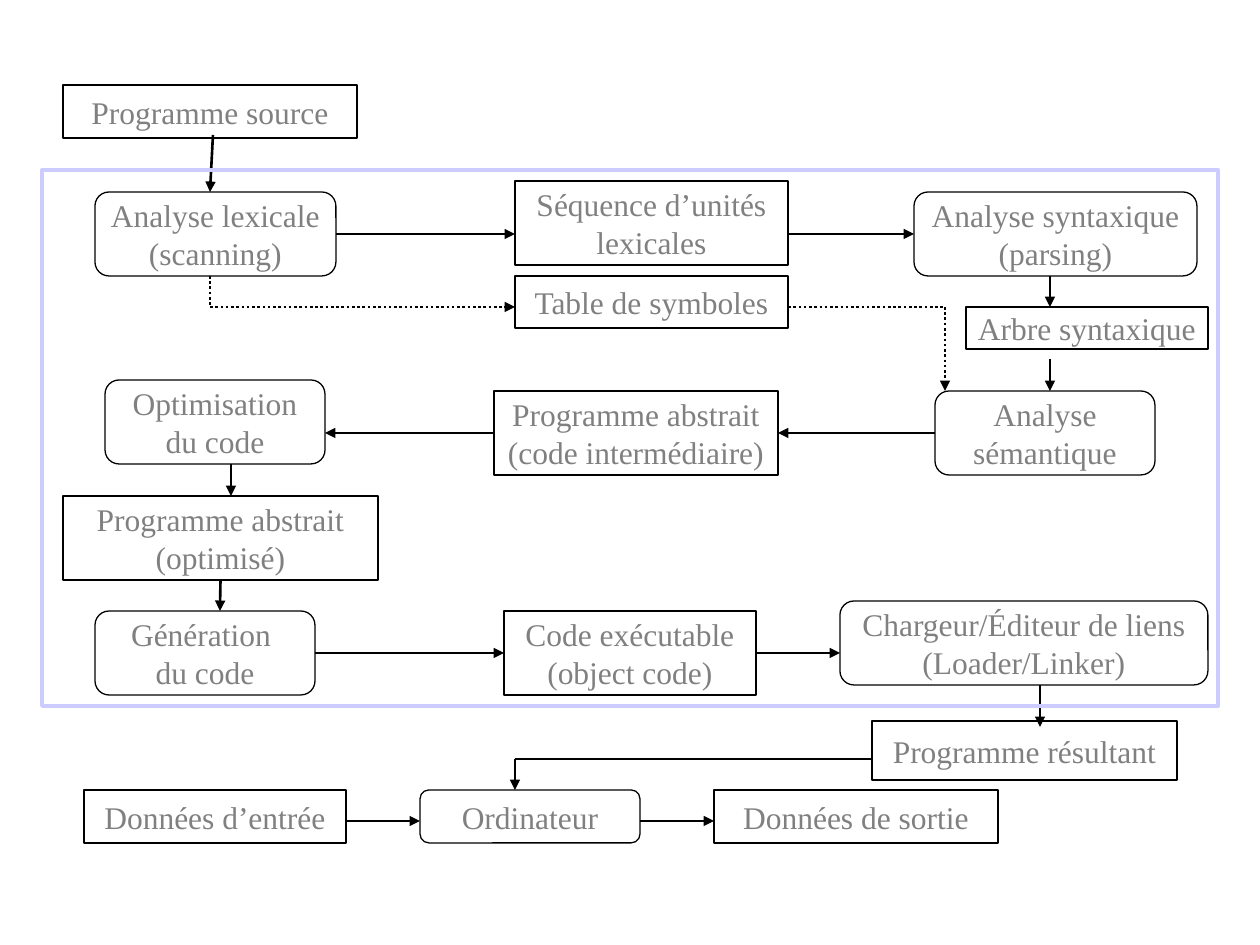
from lxml import etree
from pptx import Presentation
from pptx import util as u
from pptx.dml.color import RGBColor
from pptx.enum import dml, shapes, text
from pptx.oxml.ns import qn

PX_PER_INCH = 126
COLORS = {"ink": "000000", "label": "808080", "frame": "CCCCFF"}
FONT = "Times New Roman"
TOP, LEFT, BOTTOM, RIGHT = range(4)

DATA = {
    "source": ("Programme source", 63, 85, 294, 53),
    "tokens": ("Séquence d’unités\nlexicales", 515, 181, 273, 84),
    "symbols": ("Table de symboles", 515, 276, 273, 52),
    "tree": ("Arbre syntaxique", 966, 307, 242, 42),
    "abstract": ("Programme abstrait\v(code intermédiaire)", 494, 391, 284, 84),
    "optimised": ("Programme abstrait\v(optimisé)", 63, 496, 315, 84),
    "executable": ("Code exécutable\v(object code)", 504, 611, 252, 84),
    "result": ("Programme résultant", 872, 721, 305, 59),
    "input": ("Données d’entrée", 84, 790, 262, 53),
    "output": ("Données de sortie", 714, 790, 284, 53),
}
STEPS = {
    "scanning": ("Analyse lexicale\n(scanning)", 95, 192, 241, 84),
    "parsing": ("Analyse syntaxique\v(parsing)", 914, 192, 283, 84),
    "semantics": ("Analyse\nsémantique", 935, 391, 220, 84),
    "optimiser": ("Optimisation\ndu code", 105, 380, 220, 84),
    "generator": ("Génération \ndu code", 95, 611, 220, 84),
    "linker": ("Chargeur/Éditeur de liens\n(Loader/Linker)", 840, 601, 368, 84),
    "computer": ("Ordinateur", 420, 790, 220, 53),
}
ARROWS = [
    (213, 135, 210, 192),
    (788, 234, 914, 234, None, ("parsing", LEFT)),
    (336, 234, 515, 234, ("scanning", RIGHT)),
    (1050, 276, 1050, 307),
    (1050, 359, 1050, 391),
    (935, 433, 778, 433, ("semantics", LEFT), ("abstract", RIGHT)),
    (494, 433, 325, 433, ("abstract", LEFT)),
    (231, 464, 231, 496),
    (220, 580, 220, 611, ("optimised", BOTTOM)),
    (315, 653, 504, 653, ("generator", RIGHT), ("executable", LEFT)),
    (756, 653, 840, 653, ("executable", RIGHT)),
    (1040, 685, 1040, 727),
    (346, 821, 420, 821),
    (640, 821, 714, 821),
]
ELBOWS = [
    ([(210, 276), (210, 307), (515, 307)], True),
    ([(788, 307), (945, 307), (945, 391)], True),
    ([(872, 759), (515, 759), (515, 790)], False),
]


def px(n):
    return u.Emu(round(n * u.Inches(1) / PX_PER_INCH))


def rgb(name):
    return RGBColor.from_string(COLORS[name])


def write(sp, content, size=18, color="label", align=text.PP_ALIGN.CENTER):
    tf = sp.text_frame
    tf.word_wrap = False
    tf.vertical_anchor = text.MSO_ANCHOR.MIDDLE
    tf.text = content
    for p in tf.paragraphs:
        p.alignment = align
        for r in p.runs:
            r.font.name = FONT
            r.font.size = u.Pt(size)
            r.font.color.rgb = rgb(color)


def add_outline(slide, kind, box, color="ink", width=0.75):
    sp = slide.shapes.add_shape(kind, *map(px, box))
    sp.shadow.inherit = False
    sp.fill.background()
    sp.line.color.rgb = rgb(color)
    sp.line.width = u.Pt(width)
    return sp


def add_boxes(slide, kind, boxes):
    made = {}
    for name, (label, *box) in boxes.items():
        made[name] = add_outline(slide, kind, box)
        write(made[name], label)
    return made


def add_line(slide, x1, y1, x2, y2, arrow=True, dotted=False):
    line = slide.shapes.add_connector(
        shapes.MSO_CONNECTOR.STRAIGHT, *map(px, (x1, y1, x2, y2)))
    line.line.color.rgb = rgb("ink")
    line.line.width = u.Pt(1.5)
    if dotted:
        line.line.dash_style = dml.MSO_LINE.ROUND_DOT
    if arrow:
        etree.SubElement(line.line._get_or_add_ln(), qn("a:tailEnd"), type="triangle")
    etree.SubElement(line._element.spPr, qn("a:effectLst"))
    return line


def add_arrow(slide, nodes, x1, y1, x2, y2, start=None, end=None):
    line = add_line(slide, x1, y1, x2, y2)
    if start:
        line.begin_connect(nodes[start[0]], start[1])
    if end:
        line.end_connect(nodes[end[0]], end[1])


def add_elbow(slide, points, dotted):
    begin, corner, end = points
    add_line(slide, *begin, *corner, arrow=False, dotted=dotted)
    add_line(slide, *corner, *end, dotted=dotted)


def main():
    prs = Presentation()
    prs.slide_width, prs.slide_height = u.Inches(10), u.Inches(7.5)
    slide = prs.slides.add_slide(prs.slide_layouts[6])
    nodes = add_boxes(slide, shapes.MSO_SHAPE.RECTANGLE, DATA)
    nodes.update(add_boxes(slide, shapes.MSO_SHAPE.ROUNDED_RECTANGLE, STEPS))
    for arrow in ARROWS:
        add_arrow(slide, nodes, *arrow)
    for points, dotted in ELBOWS:
        add_elbow(slide, points, dotted)
    add_outline(slide, shapes.MSO_SHAPE.RECTANGLE, (42, 170, 1176, 536),
                color="frame", width=2.25)
    prs.save("out.pptx")


if __name__ == "__main__":
    main()
